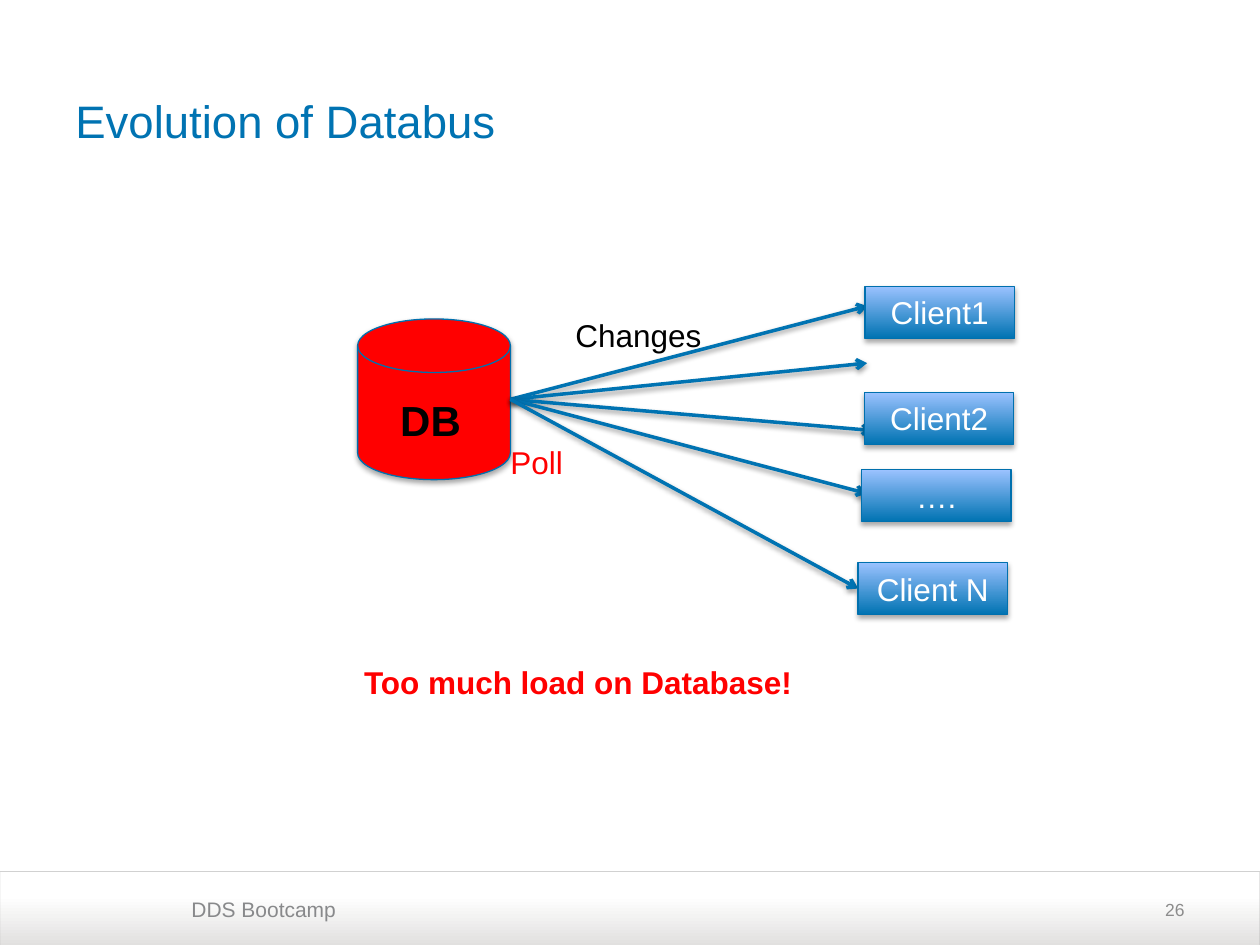
from dataclasses import dataclass

from lxml.etree import SubElement
from pptx import Presentation
from pptx.dml.color import RGBColor
from pptx.enum.shapes import MSO_CONNECTOR, MSO_SHAPE
from pptx.enum.text import MSO_ANCHOR as Anchor, MSO_AUTO_SIZE as AutoSize, PP_ALIGN as Align
from pptx.oxml.ns import qn
from pptx.util import Cm, Pt


@dataclass(frozen=True)
class Theme:
    font: str = "Arial"
    blue: str = "0073B2"
    outline: str = "0070AE"
    light_blue: str = "9BC2FF"
    red: str = "FF0000"
    black: str = "000000"
    white: str = "FFFFFF"
    footer_grey: str = "E1E0DF"
    footer_line: str = "A6A6A6"
    footer_text: str = "88898B"
    number_text: str = "8C8C8C"
    title_size: int = 26
    database_size: int = 24
    body_size: int = 18
    footer_size: int = 12
    number_size: int = 10


THEME = Theme()
TITLE = "Evolution of Databus"
TITLE_BOX = (1.52, 1.04, 22.86, 2.79)
FOOTER_BAR = (0, 17.57, 25.4, 1.5)
DATABASE = (7.21, 6.43, 3.08, 3.24)
CLIENT_SIZE = (3.01, 1.05)
CLIENTS = [
    ("Client1", 17.44, 5.77),
    ("Client2", 17.43, 7.91),
    ("….", 17.37, 9.47),
    ("Client N", 17.3, 11.34),
]
ARROW_TIPS = [(17.49, 6.17), (17.48, 7.32), (17.6, 8.68), (17.48, 9.95), (17.3, 11.86)]

TIGHT, NORMAL = 0, 0.25
LABELS = [
    ("DDS Bootcamp", (3.86, 17.95, 7.87, 0.87), THEME.footer_size, THEME.footer_text, False, Align.LEFT, TIGHT),
    ("26", (18.21, 17.83, 5.92, 1.02), THEME.number_size, THEME.number_text, False, Align.RIGHT, NORMAL),
    ("DB", (7.65, 7.82, 2.31, 1.17), THEME.database_size, THEME.black, True, Align.CENTER, TIGHT),
    ("Changes", (11.35, 6.25, 3.61, 1.02), THEME.body_size, THEME.black, False, Align.LEFT, NORMAL),
    ("Poll", (10.29, 8.81, 1.8, 0.89), THEME.body_size, THEME.red, False, Align.LEFT, TIGHT),
    ("Too much load on Database!", (7.34, 13.23, 9.65, 2.24), THEME.body_size, THEME.red, True, Align.LEFT, TIGHT),
]


def color(value):
    return RGBColor.from_string(value)


def place(shape, box):
    shape.left, shape.top, shape.width, shape.height = map(Cm, box)


def write(shape, text, size, value, bold=False, align=Align.LEFT, anchor=Anchor.MIDDLE,
          left=NORMAL, right=NORMAL):
    frame = shape.text_frame
    frame.word_wrap = True
    frame.auto_size = AutoSize.NONE
    frame.vertical_anchor = anchor
    frame.margin_left, frame.margin_right = Cm(left), Cm(right)
    frame.margin_top = frame.margin_bottom = Cm(0.13)
    paragraph = frame.paragraphs[0]
    paragraph.text = text
    paragraph.alignment = align
    font = paragraph.font
    font.name, font.size, font.bold = THEME.font, Pt(size), bold
    font.color.rgb = color(value)


def set_line(line, value, width):
    line.color.rgb = color(value)
    line.width = Pt(width)


def add_alpha(color_element, percent):
    SubElement(color_element, qn("a:alpha"), val=str(percent * 1000))


def add_shadow(properties, distance, opacity):
    effects = properties.find(qn("a:effectLst"))
    if effects is None:
        effects = SubElement(properties, qn("a:effectLst"))
    shadow = SubElement(effects, qn("a:outerShdw"), blurRad=str(Pt(3.1)), dist=str(Pt(distance)),
                        dir="5400000", rotWithShape="0")
    add_alpha(SubElement(shadow, qn("a:srgbClr"), val=THEME.black), opacity)


def add_block(shapes, kind, box, line_color, line_width, shadowed=True):
    shape = shapes.add_shape(kind, *map(Cm, box))
    set_line(shape.line, line_color, line_width)
    shape.shadow.inherit = False
    if shadowed:
        add_shadow(shape.element.spPr, 1.8, 35)
    return shape


def fill_upward(shape, bottom, top, top_position=1):
    shape.fill.gradient()
    shape.fill.gradient_angle = 90
    for stop, value, position in zip(shape.fill.gradient_stops, (bottom, top), (0, top_position)):
        stop.color.rgb = color(value)
        stop.position = position


def add_arrow(shapes, start, tip):
    arrow = shapes.add_connector(MSO_CONNECTOR.STRAIGHT, *map(Cm, start + tip))
    set_line(arrow.line, THEME.blue, 2)
    SubElement(arrow.line._get_or_add_ln(), qn("a:tailEnd"), type="arrow")
    add_shadow(arrow.element.spPr, 1.6, 38)
    return arrow


def add_label(shapes, text, box, size, value, bold, align, left):
    label = shapes.add_textbox(*map(Cm, box))
    anchor = Anchor.MIDDLE if align == Align.RIGHT else Anchor.TOP
    write(label, text, size, value, bold, align, anchor, left)


def main():
    presentation = Presentation()
    presentation.slide_width, presentation.slide_height = Cm(25.4), Cm(19.05)
    slide = presentation.slides.add_slide(presentation.slide_layouts[5])
    shapes = slide.shapes

    title = shapes.title
    place(title, TITLE_BOX)
    write(title, TITLE, THEME.title_size, THEME.blue, left=TIGHT, right=TIGHT)

    footer = add_block(shapes, MSO_SHAPE.ROUND_2_SAME_RECTANGLE, FOOTER_BAR, THEME.footer_line, 0.25, False)
    footer.adjustments[0] = 0
    fill_upward(footer, THEME.footer_grey, THEME.white, 0.68)
    add_alpha(footer.line._get_or_add_ln().find(".//" + qn("a:srgbClr")), 79)

    database = add_block(shapes, MSO_SHAPE.FLOWCHART_MAGNETIC_DISK, DATABASE, THEME.outline, 0.75)
    database.fill.solid()
    database.fill.fore_color.rgb = color(THEME.red)

    left, top, width, height = DATABASE
    source = (left + width, top + height / 2)
    arrows = [add_arrow(shapes, source, tip) for tip in ARROW_TIPS]

    for name, left, top in CLIENTS:
        client = add_block(shapes, MSO_SHAPE.RECTANGLE, (left, top, *CLIENT_SIZE), THEME.outline, 0.75)
        fill_upward(client, THEME.blue, THEME.light_blue)
        write(client, name, THEME.body_size, THEME.white, align=Align.CENTER)
    arrows[-1].end_connect(client, 1)

    for label in LABELS:
        add_label(shapes, *label)

    presentation.save("out.pptx")


if __name__ == "__main__":
    main()
